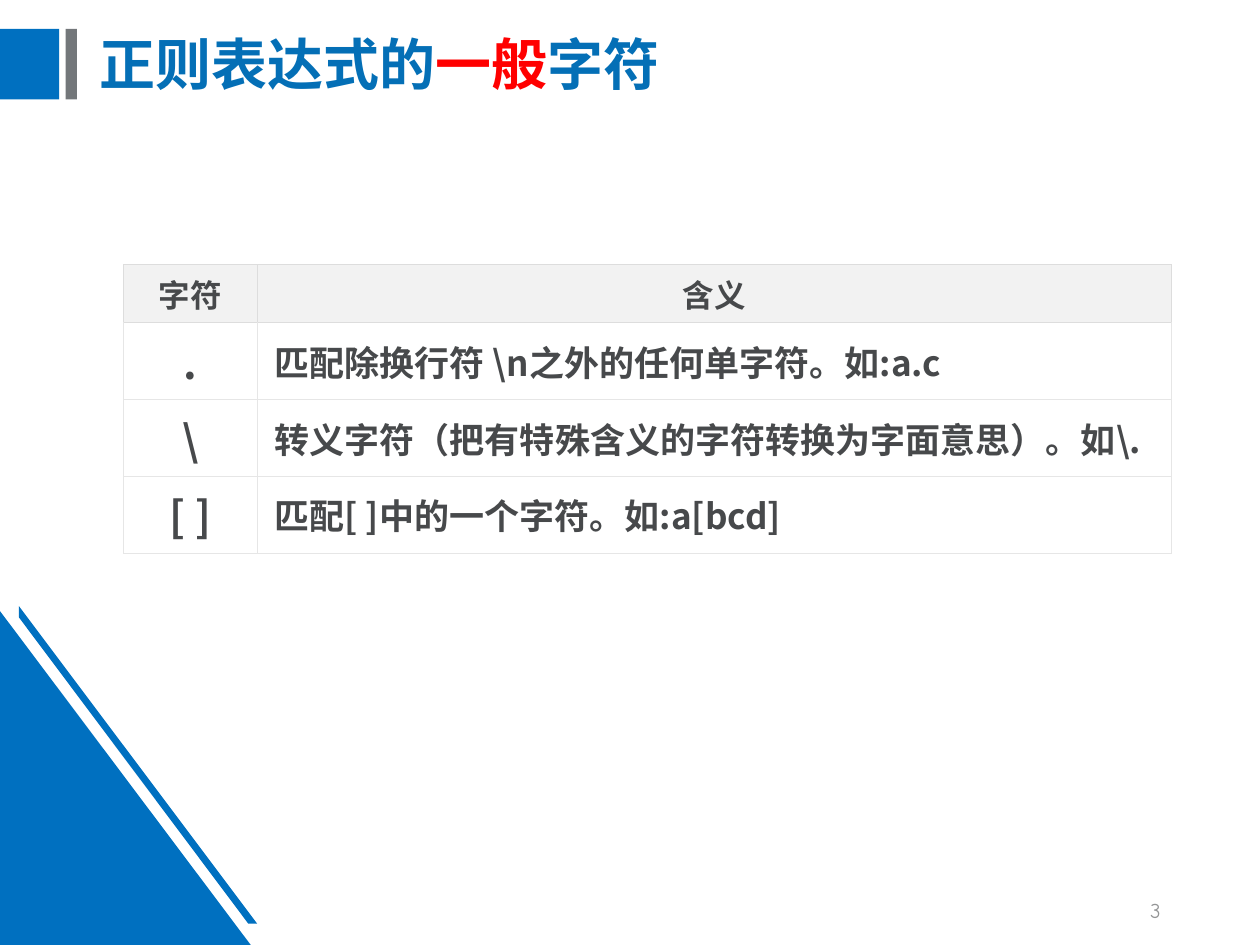
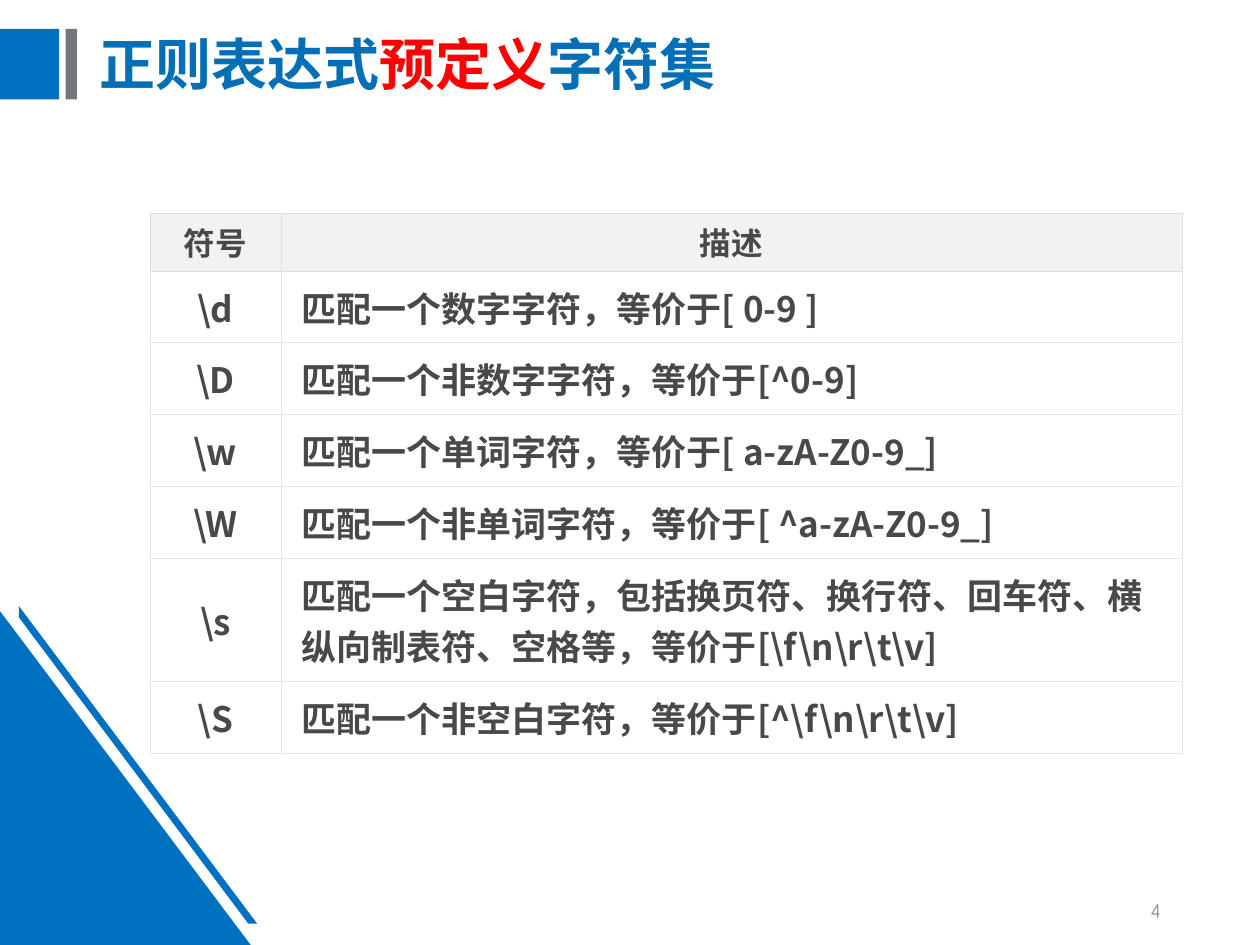
"""Build two slides of regular expression reference tables."""
from lxml.etree import SubElement
from pptx import Presentation
from pptx.dml.color import RGBColor
from pptx.enum.shapes import MSO_SHAPE
from pptx.enum.text import MSO_ANCHOR, PP_ALIGN
from pptx.oxml import parse_xml
from pptx.oxml.ns import nsdecls, qn
from pptx.util import Inches, Pt

BLUE, GRAY, WHITE = "0070C0", "73777A", "FFFFFF"
TITLE_BLUE, TITLE_RED = "046FB6", "FF0000"
TABLE_TEXT, HEADER_FILL = "47494B", "F2F2F2"
HEADER_BORDER, BODY_BORDER = "DDDDDD", "E6E6E6"
NUMBER_GRAY = "949596"
CHINESE_FONT, NUMBER_FONT = "Noto Sans CJK SC", "Comic Neue"


def paint(item, color):
    item.fill.solid()
    item.fill.fore_color.rgb = RGBColor.from_string(color)


def write(para, text, size, color, font=CHINESE_FONT, bold=True, align=PP_ALIGN.LEFT):
    para.alignment = align
    span = para.add_run()
    span.text = text
    span.font.size = Pt(size)
    span.font.bold = bold
    span.font.name = font
    span.font.color.rgb = RGBColor.from_string(color)
    SubElement(span.font._element, qn("a:ea"), typeface=font)


pages = [
    {
        "number": 3,
        "title": ["正则表达式的", "一般", "字符"],
        "place": (0.98, 2.1),
        "columns": [1.06, 7.26],
        "heights": [0.46, 0.61, 0.61, 0.61],
        "symbol_size": 24,
        "margin": 0.14,
        "rows": [
            ("字符", "含义"),
            (".", r"匹配除换行符 \n之外的任何单字符。如:a.c"),
            ("\\", r"转义字符（把有特殊含义的字符转换为字面意思）。如\."),
            ("[ ]", "匹配[ ]中的一个字符。如:a[bcd]"),
        ],
    },
    {
        "number": 4,
        "title": ["正则表达式", "预定义", "字符集"],
        "place": (1.19, 1.69),
        "columns": [1.04, 7.15],
        "heights": [0.46, 0.57, 0.57, 0.57, 0.57, 0.98, 0.57],
        "symbol_size": 20,
        "margin": 0.16,
        "rows": [
            ("符号", "描述"),
            (r"\d", "匹配一个数字字符，等价于[ 0-9 ]"),
            (r"\D", "匹配一个非数字字符，等价于[^0-9]"),
            (r"\w", "匹配一个单词字符，等价于[ a-zA-Z0-9_]"),
            (r"\W", "匹配一个非单词字符，等价于[ ^a-zA-Z0-9_]"),
            (r"\s", r"匹配一个空白字符，包括换页符、换行符、回车符、横纵向制表符、空格等，等价于[\f\n\r\t\v]"),
            (r"\S", r"匹配一个非空白字符，等价于[^\f\n\r\t\v]"),
        ],
    },
]
decorations = [
    (MSO_SHAPE.RECTANGLE, (0, 0.23, 0.47, 0.56), BLUE),
    (MSO_SHAPE.RECTANGLE, (0.52, 0.23, 0.09, 0.56), GRAY),
    (MSO_SHAPE.RIGHT_TRIANGLE, (0, 4.85, 1.99, 2.65), BLUE),
]
stripe_points = [(0.15, 4.81), (2.04, 7.33), (1.97, 7.33), (0.15, 4.9)]

deck = Presentation()
deck.slide_width, deck.slide_height = Inches(10), Inches(7.5)

for page in pages:
    slide = deck.slides.add_slide(deck.slide_layouts[6])

    for kind, place, color in decorations:
        shape = slide.shapes.add_shape(kind, *map(Inches, place))
        paint(shape, color)
        shape.line.fill.background()
        shape.shadow.inherit = False

    corners = [(Inches(x), Inches(y)) for x, y in stripe_points]
    builder = slide.shapes.build_freeform(*corners[0])
    builder.add_line_segments(corners[1:], close=True)
    stripe = builder.convert_to_shape()
    paint(stripe, BLUE)
    stripe.line.fill.background()
    stripe.shadow.inherit = False

    title_box = slide.shapes.add_textbox(*map(Inches, (0.69, 0.1, 8.9, 0.87)))
    number_box = slide.shapes.add_textbox(*map(Inches, (7.06, 7.02, 2.25, 0.4)))
    for box in (title_box, number_box):
        box.text_frame.word_wrap = True
        box.text_frame.vertical_anchor = MSO_ANCHOR.MIDDLE
    title_para = title_box.text_frame.paragraphs[0]
    title_para.line_spacing = 0.9
    for text, color in zip(page["title"], (TITLE_BLUE, TITLE_RED, TITLE_BLUE)):
        write(title_para, text, size=32, color=color)
    write(number_box.text_frame.paragraphs[0], str(page["number"]), size=12,
          color=NUMBER_GRAY, font=NUMBER_FONT, bold=False, align=PP_ALIGN.RIGHT)

    rows, columns, heights = page["rows"], page["columns"], page["heights"]
    table = slide.shapes.add_table(
        len(rows), len(columns), *map(Inches, page["place"]),
        Inches(sum(columns)), Inches(sum(heights))).table
    table.first_row = table.horz_banding = False
    for column, width in zip(table.columns, columns):
        column.width = Inches(width)
    for row, height in zip(table.rows, heights):
        row.height = Inches(height)

    for row_index, texts in enumerate(rows):
        header = row_index == 0
        for column_index, text in enumerate(texts):
            cell = table.cell(row_index, column_index)
            symbol = column_index == 0
            size = 18 if header else page["symbol_size"] if symbol else 20
            cell.vertical_anchor = MSO_ANCHOR.MIDDLE
            cell.margin_left = cell.margin_right = Inches(0.09 if header else page["margin"])
            cell.margin_top = cell.margin_bottom = Inches(0.05)
            write(cell.text_frame.paragraphs[0], text, size=size, color=TABLE_TEXT,
                  align=PP_ALIGN.CENTER if header or symbol else PP_ALIGN.LEFT)
            paint(cell, HEADER_FILL if header else WHITE)
            properties = cell._tc.get_or_add_tcPr()
            for position, side in enumerate("LRTB"):
                shared_edge = row_index == 1 and side == "T"
                color = HEADER_BORDER if header or shared_edge else BODY_BORDER
                properties.insert(position, parse_xml(
                    f'<a:ln{side} {nsdecls("a")} w="{Pt(0.45)}"><a:solidFill>'
                    f'<a:srgbClr val="{color}"/></a:solidFill></a:ln{side}>'))

deck.save("out.pptx")
